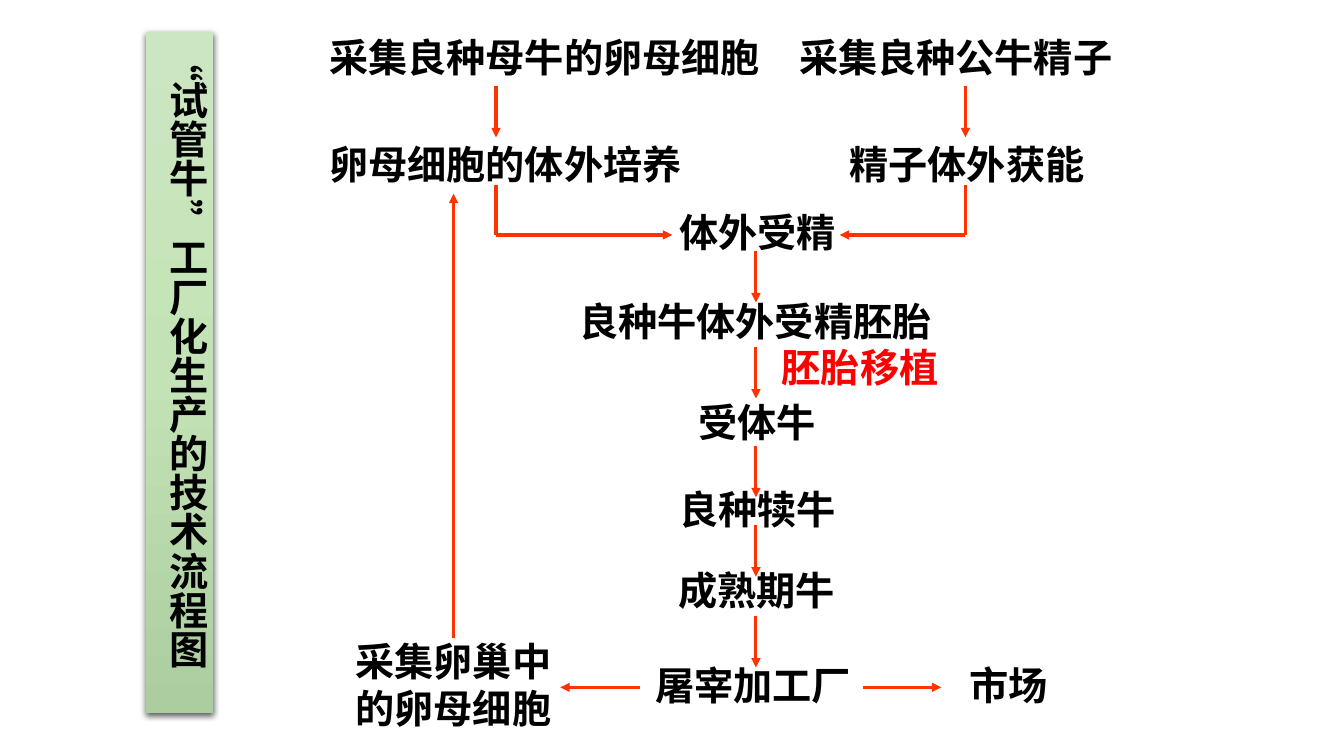
from lxml import etree
from pptx import Presentation
from pptx.dml.color import RGBColor
from pptx.enum.shapes import MSO_CONNECTOR as LINE, MSO_SHAPE as SHAPE
from pptx.enum.text import MSO_ANCHOR as ANCHOR, PP_ALIGN as ALIGN
from pptx.oxml import parse_xml
from pptx.oxml.ns import nsdecls, qn
from pptx.util import Cm, Pt

COLORS = {
    "text": "000000",
    "highlight": "FF0000",
    "arrow": "FF3300",
    "banner_top": "CCE6C2",
    "banner_middle": "C3E3B6",
    "banner_bottom": "ACCD9F",
    "shadow": "000000",
}
LATIN = "Times New Roman"
CHINESE = "Noto Sans CJK SC"

prs = Presentation()
prs.slide_width, prs.slide_height = Cm(33.87), Cm(19.05)
slide = prs.slides.add_slide(prs.slide_layouts[6])


def write(frame, wording, color, align, latin=LATIN):
    frame.word_wrap = True
    frame.text = wording
    paragraph = frame.paragraphs[0]
    paragraph.alignment = align
    font = paragraph.runs[0].font
    font.name, font.size, font.bold = latin, Pt(28), True
    font.color.rgb = RGBColor.from_string(COLORS[color])
    east_asian = etree.SubElement(paragraph.runs[0]._r.rPr, qn("a:ea"))
    east_asian.set("typeface", CHINESE)
    return paragraph


def draw_line(x1, y1, x2, y2, has_head=True):
    connector = slide.shapes.add_connector(
        LINE.STRAIGHT, Cm(x1), Cm(y1), Cm(x2), Cm(y2))
    connector.line.color.rgb = RGBColor.from_string(COLORS["arrow"])
    connector.line.width = Pt(2.25)
    if has_head:
        head = etree.SubElement(connector.line._get_or_add_ln(), qn("a:tailEnd"))
        head.set("type", "triangle")
    etree.SubElement(connector._element.spPr, qn("a:effectLst"))


EGG_X, SPERM_X, MAIN_X, OVARY_X = 12.5, 24.33, 19.05, 11.43
STEP = 1.3
MERGE_Y, FACTORY_Y = 5.92, 17.32

for x, fertilization_x in [(EGG_X, 16.94), (SPERM_X, 21.16)]:
    draw_line(x, 2.16, x, 2.16 + STEP)
    draw_line(x, 4.65, x, MERGE_Y, has_head=False)
    draw_line(x, MERGE_Y, fertilization_x, MERGE_Y)

for y in [6.32, 8.74, 11.23, 13.23, 15.52]:
    draw_line(MAIN_X, y, MAIN_X, y + STEP)

draw_line(21.74, FACTORY_Y, 23.72, FACTORY_Y)
draw_line(16.13, FACTORY_Y, 14.12, FACTORY_Y)
draw_line(OVARY_X, 16.08, OVARY_X, 4.88)

stages = [
    ("采集良种母牛的卵母细胞", 8.05, 0.71, 11.86, ALIGN.LEFT),
    ("卵母细胞的体外培养", 8.05, 3.4, 9.53, ALIGN.LEFT),
    ("采集良种公牛精子", 19.89, 0.71, 8.46, ALIGN.LEFT),
    ("精子体外获能", 21.16, 3.4, 7.62, ALIGN.LEFT),
    ("体外受精", 16.87, 5.13, 4.65, ALIGN.LEFT),
    ("良种牛体外受精胚胎", 13.74, 7.37, 10.59, ALIGN.CENTER),
    ("胚胎移植", 18.92, 8.53, 5.51, ALIGN.CENTER),
    ("受体牛", 17.35, 9.91, 3.61, ALIGN.LEFT),
    ("良种犊牛", 16.23, 12.09, 5.72, ALIGN.CENTER),
    ("成熟期牛", 16.74, 14.15, 4.65, ALIGN.CENTER),
    ("屠宰加工厂", 16.23, 16.54, 5.51, ALIGN.CENTER),
    ("市场", 23.93, 16.54, 2.97, ALIGN.CENTER),
    ("采集卵巢中的卵母细胞", 8.71, 15.93, 5.84, ALIGN.LEFT),
]
for wording, left, top, width, align in stages:
    is_transfer = wording == "胚胎移植"
    is_ovary = wording == "采集卵巢中的卵母细胞"
    stage = slide.shapes.add_textbox(
        Cm(left), Cm(top), Cm(width), Cm(2.62 if is_ovary else 1.45))
    stage.text_frame.vertical_anchor = ANCHOR.MIDDLE
    paragraph = write(stage.text_frame, wording,
                      "highlight" if is_transfer else "text", align,
                      CHINESE if is_transfer else LATIN)
    if is_ovary:
        paragraph.line_spacing = Pt(33.6)

banner = slide.shapes.add_shape(
    SHAPE.RECTANGLE, Cm(3.68), Cm(0.81), Cm(1.7), Cm(17.15))
banner.line.fill.background()
stops = "".join(
    f'<a:gs pos="{position}"><a:srgbClr val="{COLORS[name]}"/></a:gs>'
    for position, name in [
        (0, "banner_top"), (50000, "banner_middle"), (100000, "banner_bottom")])
outline = banner._element.spPr.find(qn("a:ln"))
outline.addprevious(parse_xml(
    f'<a:gradFill {nsdecls("a")} rotWithShape="1"><a:gsLst>{stops}</a:gsLst>'
    '<a:lin ang="5400000" scaled="0"/></a:gradFill>'))
outline.addnext(parse_xml(
    f'<a:effectLst {nsdecls("a")}><a:outerShdw blurRad="{Pt(4.5)}" '
    f'dist="{Pt(1.5)}" dir="5400000" algn="ctr" rotWithShape="0">'
    f'<a:srgbClr val="{COLORS["shadow"]}"><a:alpha val="63000"/></a:srgbClr>'
    '</a:outerShdw></a:effectLst>'))
banner.text_frame.vertical_anchor = ANCHOR.TOP
banner.text_frame._txBody.bodyPr.set("vert", "eaVert")
title = write(banner.text_frame, "“试管牛”工厂化生产的技术流程图", "text", ALIGN.CENTER)
title.line_spacing = Pt(33.6)

prs.save("out.pptx")
